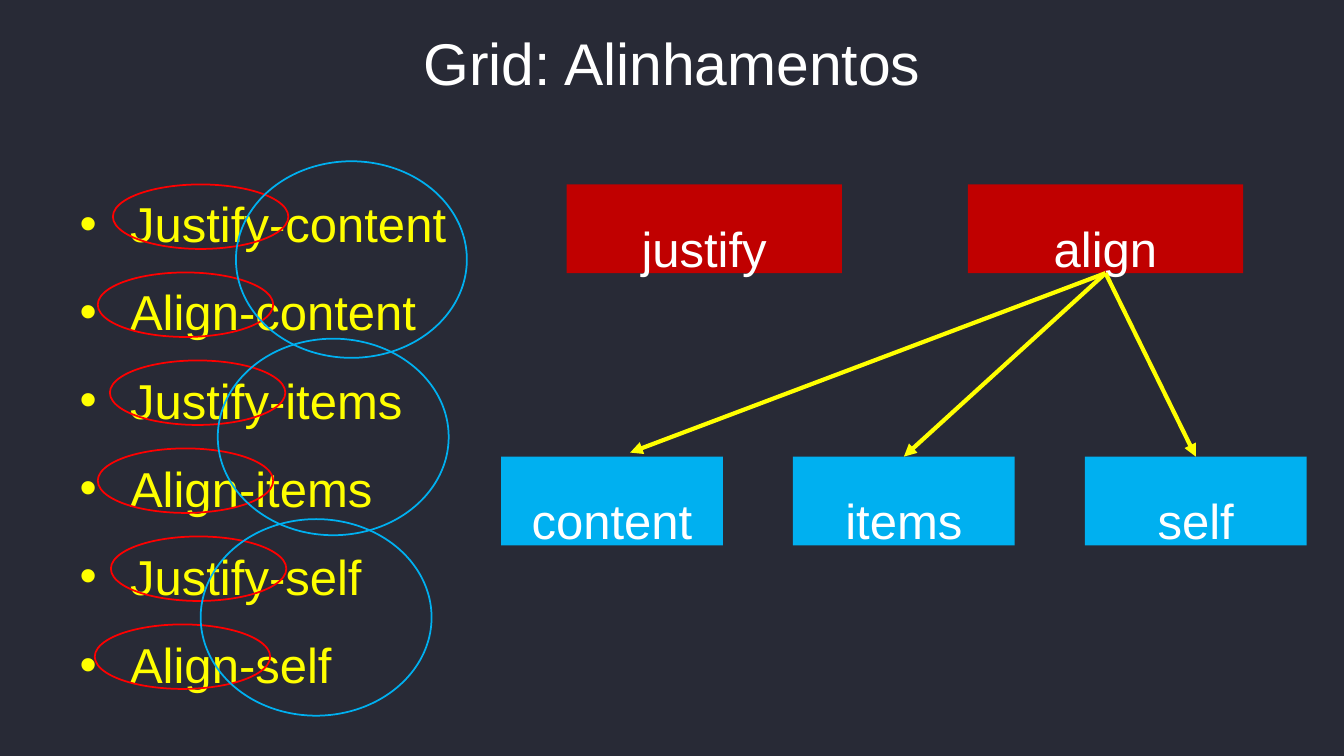
from lxml.etree import SubElement
from pptx import Presentation
from pptx.dml.color import RGBColor
from pptx.enum.shapes import MSO_CONNECTOR as CONN, MSO_SHAPE as SHAPE
from pptx.enum.text import MSO_ANCHOR as ANCHOR, MSO_AUTO_SIZE as AUTO, PP_ALIGN as ALIGN
from pptx.oxml.ns import qn
from pptx.util import Inches, Pt

COLORS = {"bg": "282A36", "white": "FFFFFF", "yellow": "FFFF00",
          "red": "FF0000", "dark_red": "C00000", "blue": "00B0F0"}
FONT = "Arial"


def rgb(name):
    """Return the named palette colour."""
    return RGBColor.from_string(COLORS[name])


def write(tf, text, size=35, color="white", align=ALIGN.CENTER, spacing=1.5,
          anchor=ANCHOR.TOP, indent=0):
    """Write one paragraph per line of text into a text frame."""
    tf.word_wrap = True
    tf.auto_size = AUTO.NONE
    tf.vertical_anchor = anchor
    for i, line in enumerate(text.split("\n")):
        p = tf.paragraphs[0] if i == 0 else tf.add_paragraph()
        p.alignment, p.line_spacing = align, spacing
        p.space_before = p.space_after = Pt(0)
        if indent:
            pPr = p._p.get_or_add_pPr()
            pPr.set("marL", str(Inches(indent)))
            pPr.set("indent", str(-Inches(indent)))
        r = p.add_run()
        r.text = text if i < 0 else line
        r.font.name, r.font.size = FONT, Pt(size)
        r.font.color.rgb = rgb(color)


class Deck:
    """Hold the presentation, its style and the current slide."""

    def __init__(self):
        """Open a wide presentation with one title and content slide."""
        self.prs = Presentation()
        self.prs.slide_width, self.prs.slide_height = Inches(13.33), Inches(7.5)
        self.s = self.prs.slides.add_slide(self.prs.slide_layouts[1])
        fill = self.s.background.fill
        fill.solid()
        fill.fore_color.rgb = rgb("bg")

    def placeholder(self, idx, text, x, y, w, h, **fmt):
        """Place and fill a template placeholder."""
        sp = self.s.placeholders[idx]
        sp.left, sp.top, sp.width, sp.height = map(Inches, (x, y, w, h))
        write(sp.text_frame, text, **fmt)

    def shape(self, kind, x, y, w, h):
        """Add a preset shape without a shadow."""
        sp = self.s.shapes.add_shape(kind, *map(Inches, (x, y, w, h)))
        sp.shadow.inherit = False
        return sp

    def ring(self, x, y, w, h, color):
        """Add an outlined ellipse."""
        sp = self.shape(SHAPE.OVAL, x, y, w, h)
        sp.fill.background()
        sp.line.color.rgb = rgb(color)
        sp.line.width = Pt(1.25)

    def box(self, text, x, y, w, color):
        """Add a filled rectangle with a label."""
        sp = self.shape(SHAPE.RECTANGLE, x, y, w, 0.88)
        sp.fill.solid()
        sp.fill.fore_color.rgb = rgb(color)
        sp.line.fill.background()
        write(sp.text_frame, text)
        return sp

    def arrow(self, source, x, y, target=None):
        """Draw an arrow from the bottom of a box to a point or a box top."""
        start = source.left + source.width // 2, source.top + source.height
        c = self.s.shapes.add_connector(CONN.STRAIGHT, *start, Inches(x), Inches(y))
        c.begin_connect(source, 2)
        if target is not None:
            c.end_connect(target, 0)
        c.line.color.rgb = rgb("yellow")
        c.line.width = Pt(3)
        SubElement(c.line._get_or_add_ln(), qn("a:tailEnd"), type="triangle")
        SubElement(c._element.spPr, qn("a:effectLst"))


def main():
    """Build the slide about grid alignment and save it."""
    deck = Deck()
    deck.placeholder(0, "Grid: Alinhamentos", 2.82, 0.21, 7.69, 0.81,
                     size=42, spacing=1.0, anchor=ANCHOR.MIDDLE)
    targets = ("content", "items", "self")
    names = [f"{axis}-{target}" for target in targets for axis in ("Justify", "Align")]
    deck.placeholder(1, "\n".join(names), 0.69, 1.58, 4.92, 5.29,
                     color="yellow", align=ALIGN.JUSTIFY, indent=0.5)

    for i, x in enumerate((1.12, 0.97, 1.09, 0.97, 1.1, 0.94)):
        deck.ring(x, 1.83 + 0.873 * i, 1.74, 0.64, "red")
    for x, y in ((2.34, 1.6), (2.16, 3.36), (1.99, 5.15)):
        deck.ring(x, y, 2.29, 1.95, "blue")

    deck.box("justify", 5.62, 1.83, 2.73, "dark_red")
    align = deck.box("align", 9.6, 1.83, 2.73, "dark_red")
    content, items, own = [deck.box(t, 4.97 + 2.895 * i, 4.53, 2.2, "blue")
                           for i, t in enumerate(targets)]
    deck.arrow(align, 11.86, 4.53, own)
    deck.arrow(align, 8.97, 4.53, items)
    deck.arrow(align, 6.25, 4.49)
    deck.prs.save("out.pptx")


if __name__ == "__main__":
    main()
